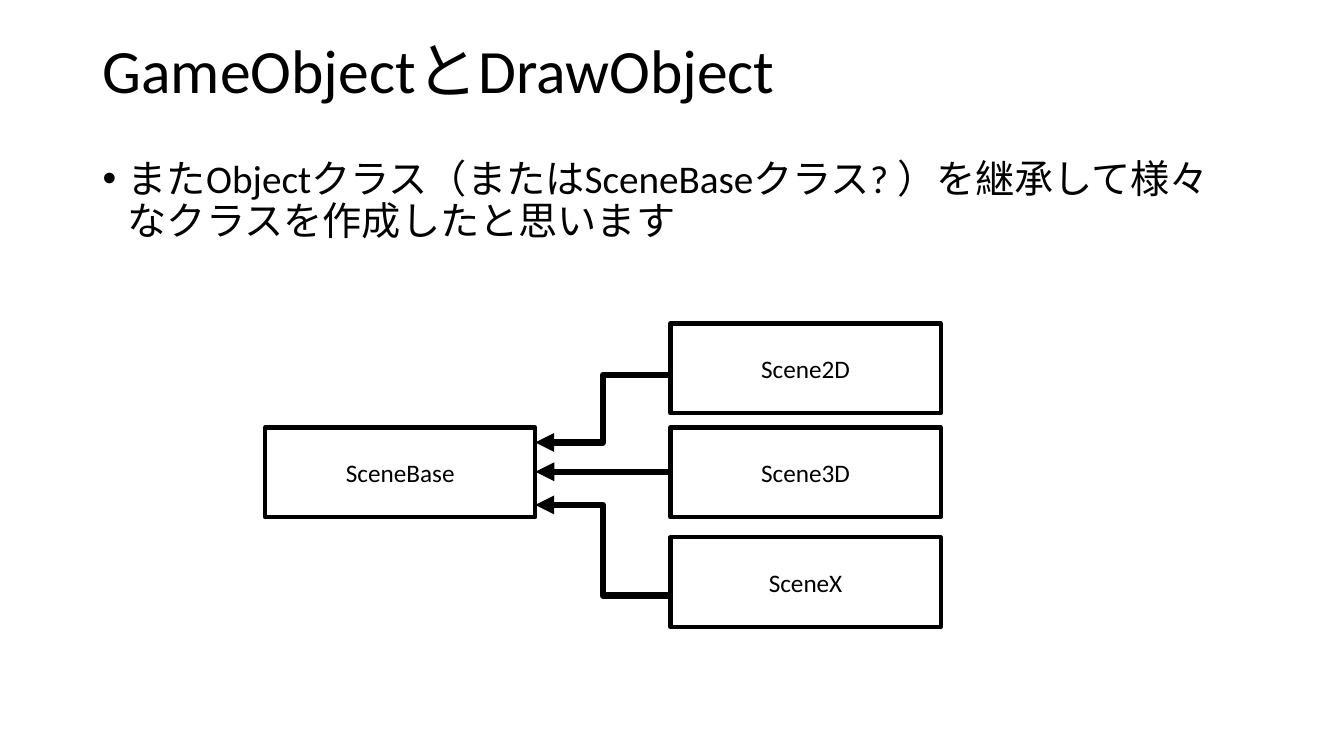
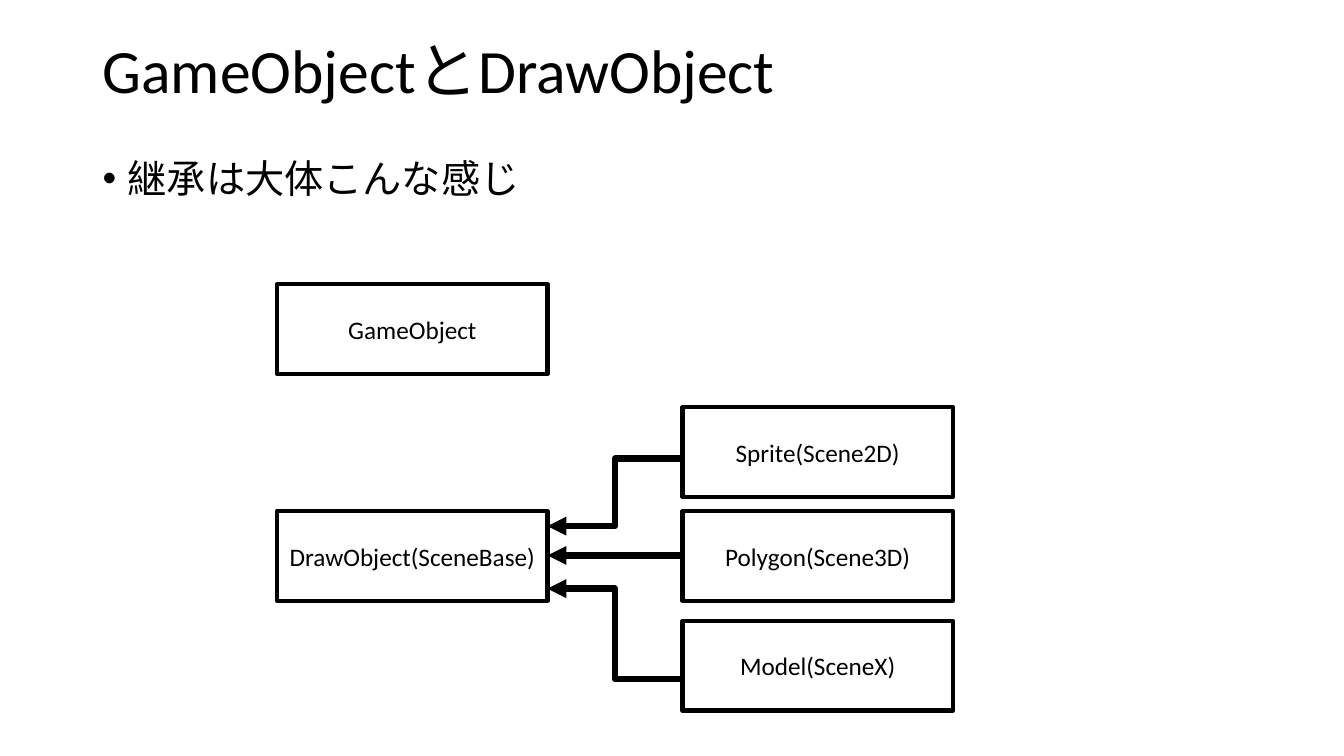
from lxml import etree
from pptx import Presentation
from pptx.dml.color import RGBColor
from pptx.enum.shapes import MSO_CONNECTOR, MSO_SHAPE
from pptx.enum.text import MSO_ANCHOR, PP_ALIGN
from pptx.oxml.ns import qn
from pptx.util import Inches, Pt

RECTANGLE = MSO_SHAPE.RECTANGLE
STRAIGHT = MSO_CONNECTOR.STRAIGHT
ELBOW = MSO_CONNECTOR.ELBOW
TOP, MIDDLE = MSO_ANCHOR.TOP, MSO_ANCHOR.MIDDLE
LEFT, CENTER = PP_ALIGN.LEFT, PP_ALIGN.CENTER

BLACK = RGBColor(0x00, 0x00, 0x00)
FONT = "Calibri"
TITLE = "GameObjectとDrawObject"
TITLE_BOX = (0.92, 0.4, 11.5, 1.45)
BODY_BOX = (0.92, 1.53, 11.5, 1.04)

BOX_WIDTH, BOX_HEIGHT = 2.68, 0.89
CHILD_LEFT = 4.02
PARENT_TOP = 1.03
CHILD_TOPS = (0, PARENT_TOP, 2.12)
ARROWS = ((STRAIGHT, 1.47, 1.47), (ELBOW, 2.7, 1.8), (ELBOW, 0.51, 1.18))


def write_text(shape, text, size, align=LEFT, anchor=TOP, line_spacing=None):
    """Write one formatted paragraph into a shape and return it."""
    frame = shape.text_frame
    frame.word_wrap = True
    frame.vertical_anchor = anchor
    paragraph = frame.paragraphs[0]
    paragraph.alignment = align
    paragraph.line_spacing = line_spacing
    run = paragraph.add_run()
    run.text = text
    run.font.name = FONT
    run.font.size = Pt(size)
    run.font.color.rgb = BLACK
    return paragraph


def add_heading(slide, body):
    """Add the shared title and one bulleted statement."""
    title = slide.shapes.add_textbox(*map(Inches, TITLE_BOX))
    write_text(title, TITLE, 44, line_spacing=0.9)
    title.text_frame.margin_top = 0

    statement = slide.shapes.add_textbox(*map(Inches, BODY_BOX))
    paragraph = write_text(statement, body, 28, line_spacing=0.9)
    paragraph.space_before = Pt(10)
    properties = paragraph._p.get_or_add_pPr()
    properties.set("marL", str(Inches(0.25)))
    properties.set("indent", str(Inches(-0.25)))
    etree.SubElement(properties, qn("a:buFont")).set("typeface", "Arial")
    etree.SubElement(properties, qn("a:buChar")).set("char", "•")


def add_class_box(slide, left, top, name):
    """Add an outlined box holding a class name."""
    box = slide.shapes.add_shape(
        RECTANGLE, Inches(left), Inches(top), Inches(BOX_WIDTH), Inches(BOX_HEIGHT)
    )
    box.shadow.inherit = False
    box.fill.background()
    box.line.color.rgb = BLACK
    box.line.width = Pt(3)
    write_text(box, name, 18, align=CENTER, anchor=MIDDLE)


def add_arrow(slide, kind, start, end):
    """Add a thick connector with an arrowhead at its end."""
    arrow = slide.shapes.add_connector(kind, *map(Inches, start + end))
    arrow.line.color.rgb = BLACK
    arrow.line.width = Pt(4.5)
    etree.SubElement(arrow.line._get_or_add_ln(), qn("a:tailEnd")).set("type", "triangle")
    etree.SubElement(arrow._element.spPr, qn("a:effectLst"))


def add_inheritance(slide, left, top, parent, children):
    """Draw a parent class and the three classes that derive from it."""
    add_class_box(slide, left, top + PARENT_TOP, parent)
    for name, child_top in zip(children, CHILD_TOPS):
        add_class_box(slide, left + CHILD_LEFT, top + child_top, name)
    for kind, start_y, end_y in ARROWS:
        start = (left + CHILD_LEFT, top + start_y)
        end = (left + BOX_WIDTH, top + end_y)
        add_arrow(slide, kind, start, end)


def add_slide(presentation, body):
    """Add a blank slide with the shared heading."""
    slide = presentation.slides.add_slide(presentation.slide_layouts[6])
    add_heading(slide, body)
    return slide


def main():
    """Build and save the presentation."""
    presentation = Presentation()
    presentation.slide_width = Inches(13.33)
    presentation.slide_height = Inches(7.5)

    slide = add_slide(
        presentation,
        "またObjectクラス（またはSceneBaseクラス? ）を継承して様々なクラスを作成したと思います",
    )
    add_inheritance(slide, 2.63, 3.21, "SceneBase", ("Scene2D", "Scene3D", "SceneX"))

    slide = add_slide(presentation, "継承は大体こんな感じ")
    add_inheritance(
        slide, 2.75, 4.04, "DrawObject(SceneBase)",
        ("Sprite(Scene2D)", "Polygon(Scene3D)", "Model(SceneX)"),
    )
    add_class_box(slide, 2.75, 2.82, "GameObject")

    presentation.save("out.pptx")


if __name__ == "__main__":
    main()
